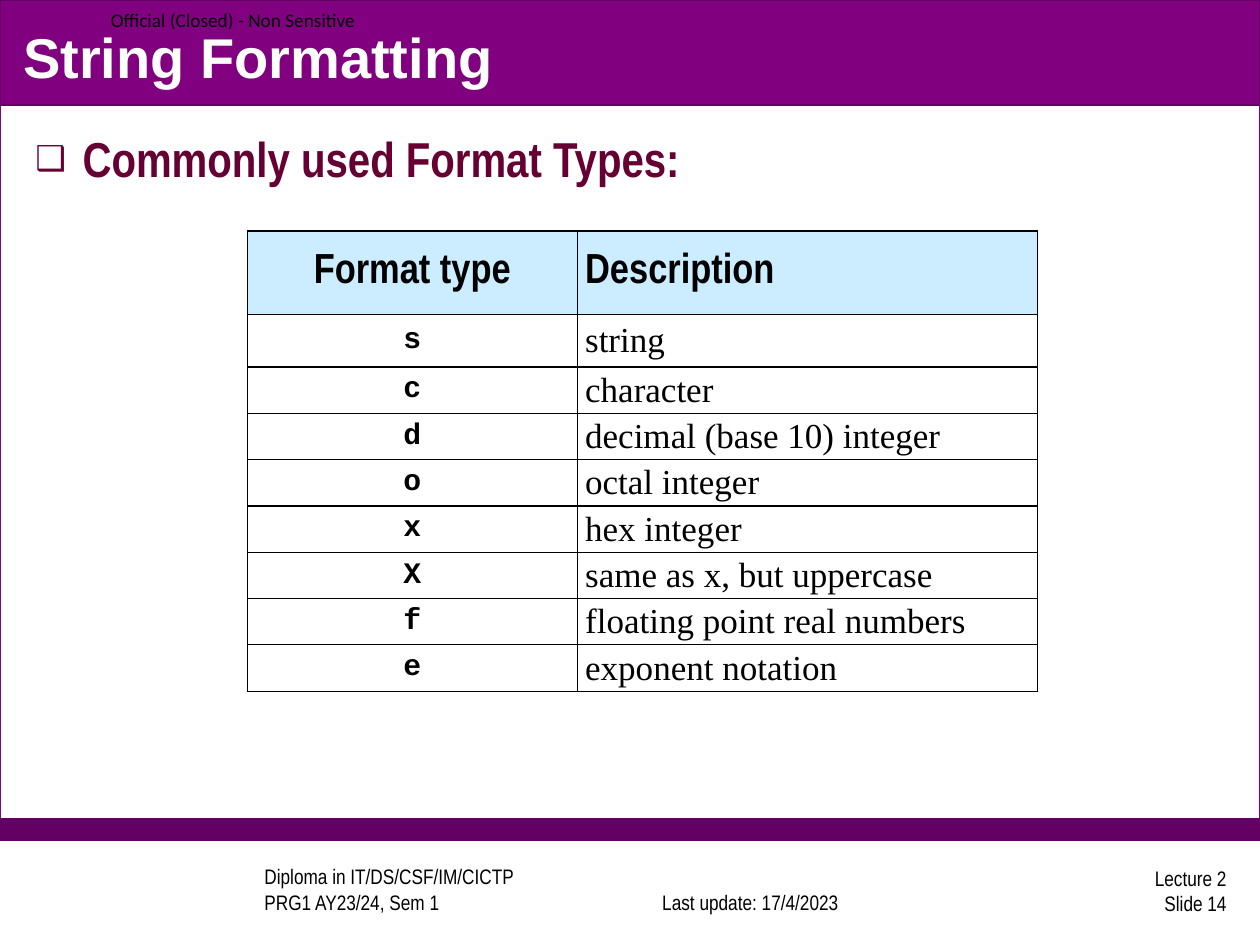
from lxml import etree
from pptx import Presentation
from pptx.dml.color import RGBColor
from pptx.enum.shapes import MSO_SHAPE
from pptx.enum.text import MSO_ANCHOR, MSO_AUTO_SIZE, PP_ALIGN
from pptx.oxml.ns import qn
from pptx.util import Pt

RECTANGLE = MSO_SHAPE.RECTANGLE
TOP, MIDDLE, BOTTOM = MSO_ANCHOR.TOP, MSO_ANCHOR.MIDDLE, MSO_ANCHOR.BOTTOM
LEFT, CENTER, RIGHT, JUSTIFY = PP_ALIGN.LEFT, PP_ALIGN.CENTER, PP_ALIGN.RIGHT, PP_ALIGN.JUSTIFY
NO_AUTOFIT = MSO_AUTO_SIZE.NONE

FORMAT_TYPES = [
    ("s", "string"),
    ("c", "character"),
    ("d", "decimal (base 10) integer"),
    ("o", "octal integer"),
    ("x", "hex integer"),
    ("X", "same as x, but uppercase"),
    ("f", "floating point real numbers"),
    ("e", "exponent notation"),
]
HEADER_STYLE = {"size": 24, "font": "Arial Narrow", "bold": True}
CODE_STYLE = {"size": 17, "font": "Courier New", "bold": True}
DESCRIPTION_STYLE = {"size": 20, "font": "Times New Roman"}


def color(hex_value):
    """Turn a hex string into a colour."""
    return RGBColor.from_string(hex_value)


def write_text(frame, text, size, font, fill="000000", bold=False, align=LEFT, after=0):
    """Write one formatted paragraph into a text frame."""
    paragraph = frame.paragraphs[0]
    paragraph.text = text
    paragraph.alignment = align
    paragraph.space_before = Pt(0)
    paragraph.space_after = Pt(after)
    for run in paragraph.runs:
        run.font.size = Pt(size)
        run.font.name = font
        run.font.bold = bold
        run.font.color.rgb = color(fill)
    return paragraph


def add_band(slide, top, height, fill, line):
    """Add a rectangle across the full slide width."""
    shape = slide.shapes.add_shape(RECTANGLE, Pt(0), Pt(top), Pt(720), Pt(height))
    shape.shadow.inherit = False
    shape.fill.solid()
    shape.fill.fore_color.rgb = color(fill)
    shape.line.color.rgb = color(line)
    shape.line.width = Pt(0.75)


def add_label(slide, text, left, top, width, height, anchor, **style):
    """Add a small text box."""
    frame = slide.shapes.add_textbox(Pt(left), Pt(top), Pt(width), Pt(height)).text_frame
    frame.word_wrap = True
    frame.vertical_anchor = anchor
    write_text(frame, text, **style)
    return frame


def fill_placeholder(slide, placeholder, text, left, top, width, height, anchor, **style):
    """Place a placeholder in front of the bands and write its text."""
    placeholder.left, placeholder.top = Pt(left), Pt(top)
    placeholder.width, placeholder.height = Pt(width), Pt(height)
    slide.shapes._spTree.append(placeholder._element)
    frame = placeholder.text_frame
    frame.word_wrap = True
    frame.auto_size = NO_AUTOFIT
    frame.vertical_anchor = anchor
    return write_text(frame, text, **style)


def add_bullet(paragraph, symbol, percent, indent):
    """Give a paragraph a hanging bullet."""
    properties = paragraph._p.get_or_add_pPr()
    properties.set("marL", str(Pt(indent)))
    properties.set("indent", str(-Pt(indent)))
    etree.SubElement(properties, qn("a:buSzPct"), val=str(percent * 1000))
    etree.SubElement(properties, qn("a:buFont"), typeface="Arial")
    etree.SubElement(properties, qn("a:buChar"), char=symbol)


def add_borders(cell, width):
    """Draw black lines on all sides of a cell."""
    properties = cell._tc.get_or_add_tcPr()
    for position, side in enumerate(("a:lnL", "a:lnR", "a:lnT", "a:lnB")):
        line = etree.Element(qn(side), w=str(Pt(width)))
        solid = etree.SubElement(line, qn("a:solidFill"))
        etree.SubElement(solid, qn("a:srgbClr"), val="000000")
        properties.insert(position, line)


def fill_cell(cell, text, fill, **style):
    """Write and format a table cell."""
    cell.margin_left = cell.margin_right = Pt(4.5)
    cell.margin_top = cell.margin_bottom = Pt(0)
    cell.vertical_anchor = MIDDLE
    cell.fill.solid()
    cell.fill.fore_color.rgb = color(fill)
    write_text(cell.text_frame, text, after=3, **style)
    add_borders(cell, 0.75)


def add_format_table(slide):
    """Add the table of format types."""
    widths = [188.6, 262.8]
    heights = [47.5, 30.2] + [26.5] * (len(FORMAT_TYPES) - 1)
    table = slide.shapes.add_table(
        len(heights), len(widths), Pt(141.3), Pt(132), Pt(sum(widths)), Pt(sum(heights))
    ).table
    for column, width in zip(table.columns, widths):
        column.width = Pt(width)
    for row, height in zip(table.rows, heights):
        row.height = Pt(height)
    rows = [("Format type", "Description")] + FORMAT_TYPES
    for index, (code, description) in enumerate(rows):
        header = index == 0
        fill = "CCECFF" if header else "FFFFFF"
        code_style = HEADER_STYLE if header else CODE_STYLE
        description_style = HEADER_STYLE if header else DESCRIPTION_STYLE
        fill_cell(table.cell(index, 0), code, fill, align=CENTER, **code_style)
        fill_cell(table.cell(index, 1), description, fill, align=JUSTIFY, **description_style)


def main():
    """Build the String Formatting slide."""
    presentation = Presentation()
    presentation.slide_width, presentation.slide_height = Pt(720), Pt(540)
    slide = presentation.slides.add_slide(presentation.slide_layouts[1])

    add_band(slide, 0, 480, "FFFFFF", "800080")
    add_band(slide, 468, 12, "640064", "640064")
    add_band(slide, 0, 60, "800080", "640064")

    footer = {"size": 12, "font": "Arial Narrow"}
    add_label(slide, "Diploma in IT/DS/CSF/IM/CICTP\nPRG1 AY23/24, Sem 1",
              144, 496, 192, 30, BOTTOM, **footer)
    add_label(slide, "Last update: 17/4/2023", 353.8, 496, 150, 30, BOTTOM, align=CENTER, **footer)
    add_label(slide, "Lecture 2\nSlide 14", 558, 494, 150, 30, MIDDLE, align=RIGHT, **footer)
    marking = add_label(slide, "Official (Closed) - Non Sensitive", 63.4, 0, 153.5, 22.3, MIDDLE,
                        size=11, font="Calibri")
    marking.margin_left = marking.margin_right = Pt(0)
    marking.margin_top = marking.margin_bottom = Pt(0)
    marking.word_wrap = False

    fill_placeholder(slide, slide.shapes.title, "String Formatting", 6, 9.5, 708, 45, MIDDLE,
                     size=32, font="Arial", fill="FFFFFF", bold=True)
    heading = fill_placeholder(slide, slide.placeholders[1], "Commonly used Format Types:",
                               13, 70, 708, 392, TOP,
                               size=28, font="Arial Narrow", fill="660033", bold=True)
    add_bullet(heading, "❑", 70, 27)
    add_format_table(slide)
    presentation.save("out.pptx")


if __name__ == "__main__":
    main()
